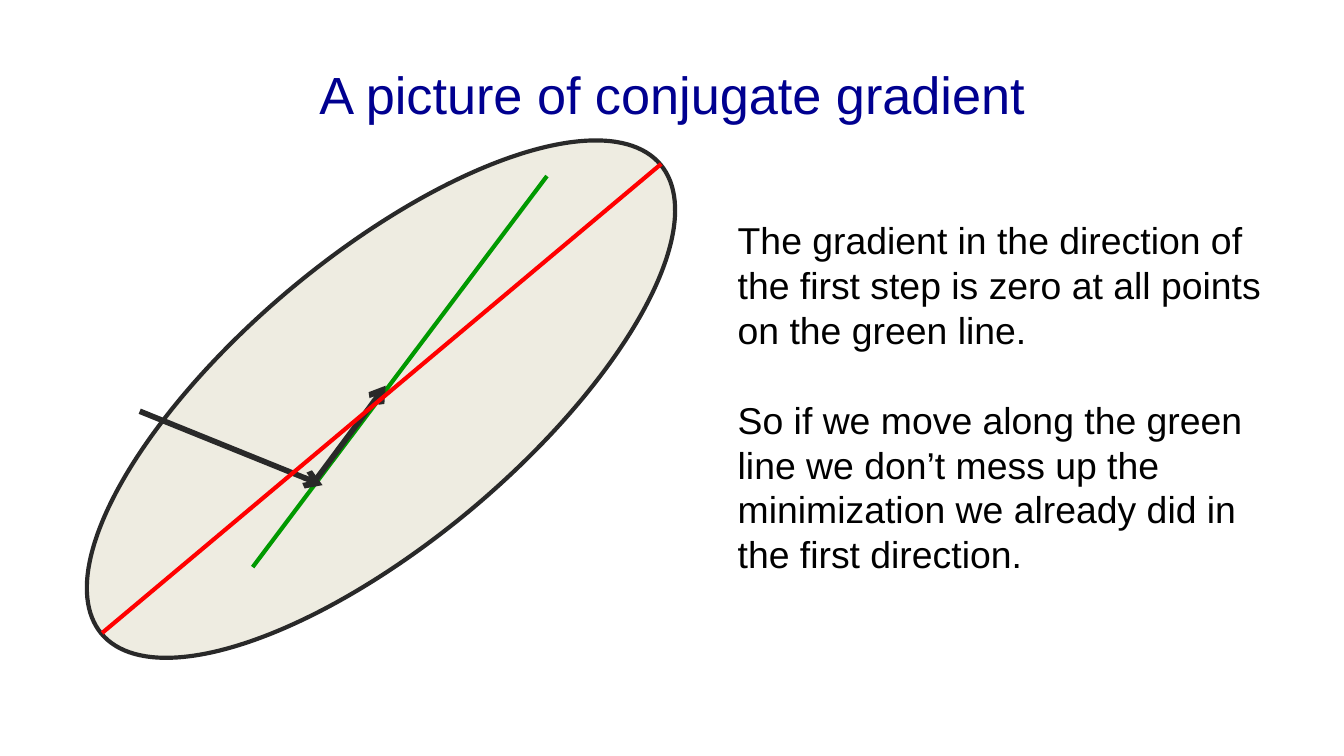
from pptx import Presentation
from pptx.dml.color import RGBColor
from pptx.enum.shapes import MSO_CONNECTOR, MSO_SHAPE
from pptx.enum.text import MSO_ANCHOR, PP_ALIGN
from pptx.oxml.ns import qn
from pptx.util import Inches, Pt
from lxml import etree

OVAL = MSO_SHAPE.OVAL
STRAIGHT = MSO_CONNECTOR.STRAIGHT
CENTER, LEFT = PP_ALIGN.CENTER, PP_ALIGN.LEFT
MIDDLE, TOP = MSO_ANCHOR.MIDDLE, MSO_ANCHOR.TOP

NAVY = RGBColor(0x00, 0x00, 0x90)
BLACK = RGBColor(0x00, 0x00, 0x00)
INK = RGBColor(0x29, 0x29, 0x29)
CREAM = RGBColor(0xEE, 0xEC, 0xE1)
GREEN = RGBColor(0x00, 0x99, 0x00)
RED = RGBColor(0xFF, 0x00, 0x00)

CELL = 0.1


class Deck:
    """Draws styled elements on one slide, placed on a grid of square cells."""

    font = "Arial"
    thin, thick = Pt(2.25), Pt(3)

    def __init__(self, cols, rows):
        self.prs = Presentation()
        self.prs.slide_width, self.prs.slide_height = self.grid(cols, rows)
        self.slide = self.prs.slides.add_slide(self.prs.slide_layouts[5])

    def grid(self, *cells):
        return [Inches(CELL * n) for n in cells]

    def typeset(self, frame, texts, size, color, align, anchor):
        frame.word_wrap = True
        frame.vertical_anchor = anchor
        for i, text in enumerate(texts):
            para = frame.paragraphs[0] if i == 0 else frame.add_paragraph()
            para.alignment = align
            para.line_spacing = Pt(size * 1.2)
            para.space_before = Pt(size * 1.2 if i else 0)
            run = para.add_run()
            run.text = text
            run.font.name, run.font.size = self.font, Pt(size)
            run.font.color.rgb = color

    def title(self, box, text):
        head = self.slide.shapes.title
        head.left, head.top, head.width, head.height = self.grid(*box)
        self.typeset(head.text_frame, [text], 28, NAVY, CENTER, MIDDLE)

    def text(self, box, texts):
        note = self.slide.shapes.add_textbox(*self.grid(*box))
        self.typeset(note.text_frame, texts, 20, BLACK, LEFT, TOP)

    def oval(self, box, turn):
        oval = self.slide.shapes.add_shape(OVAL, *self.grid(*box))
        oval.rotation = turn
        oval.shadow.inherit = False
        oval.fill.solid()
        oval.fill.fore_color.rgb = CREAM
        oval.line.color.rgb, oval.line.width = INK, self.thin

    def line(self, start, end, color, width):
        line = self.slide.shapes.add_connector(STRAIGHT, *self.grid(*start, *end))
        line.line.color.rgb, line.line.width = color, width
        etree.SubElement(line.element.spPr, qn("a:effectLst"))
        return line

    def arrow(self, start, end):
        line = self.line(start, end, INK, self.thick)
        edge = line.element.spPr.find(qn("a:ln"))
        etree.SubElement(edge, qn("a:tailEnd"), type="arrow")


def main():
    deck = Deck(100, 56.25)
    deck.oval((1.2, 19.1, 54.3, 21.2), 320)
    deck.line((40.7, 13.1), (18.8, 42.2), GREEN, deck.thin)
    deck.title((5, 2.3, 90, 9.4), "A picture of conjugate gradient")
    deck.arrow((10.4, 30.6), (24, 36.1))
    deck.arrow((23.2, 36.1), (28.7, 28.7))
    deck.line((49.2, 12.2), (7.6, 47.1), RED, deck.thin)
    deck.text((53.9, 15.7, 42.5, 27.7), [
        "The gradient in the direction of the first step is zero at all points "
        "on the green line.",
        "So if we move along the green line we don’t mess up the minimization "
        "we already did in the first direction.",
    ])
    deck.prs.save("out.pptx")


if __name__ == "__main__":
    main()
